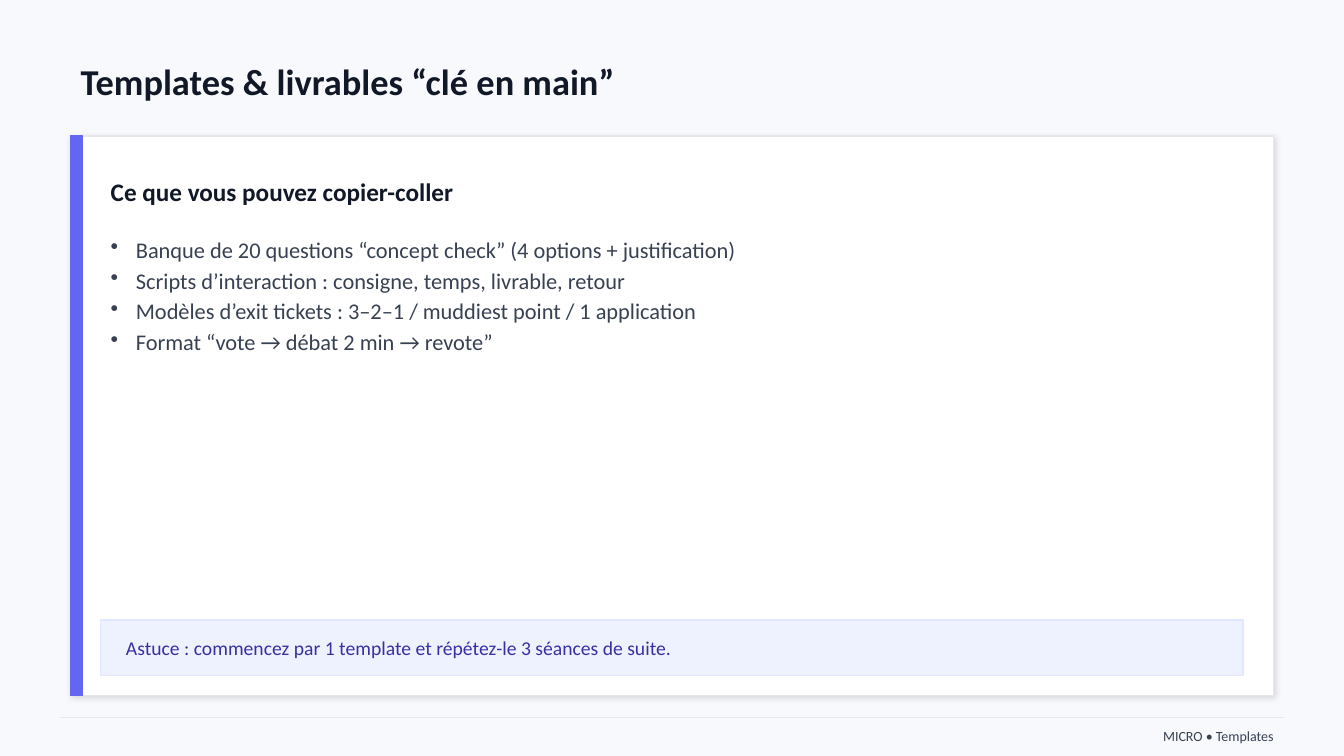
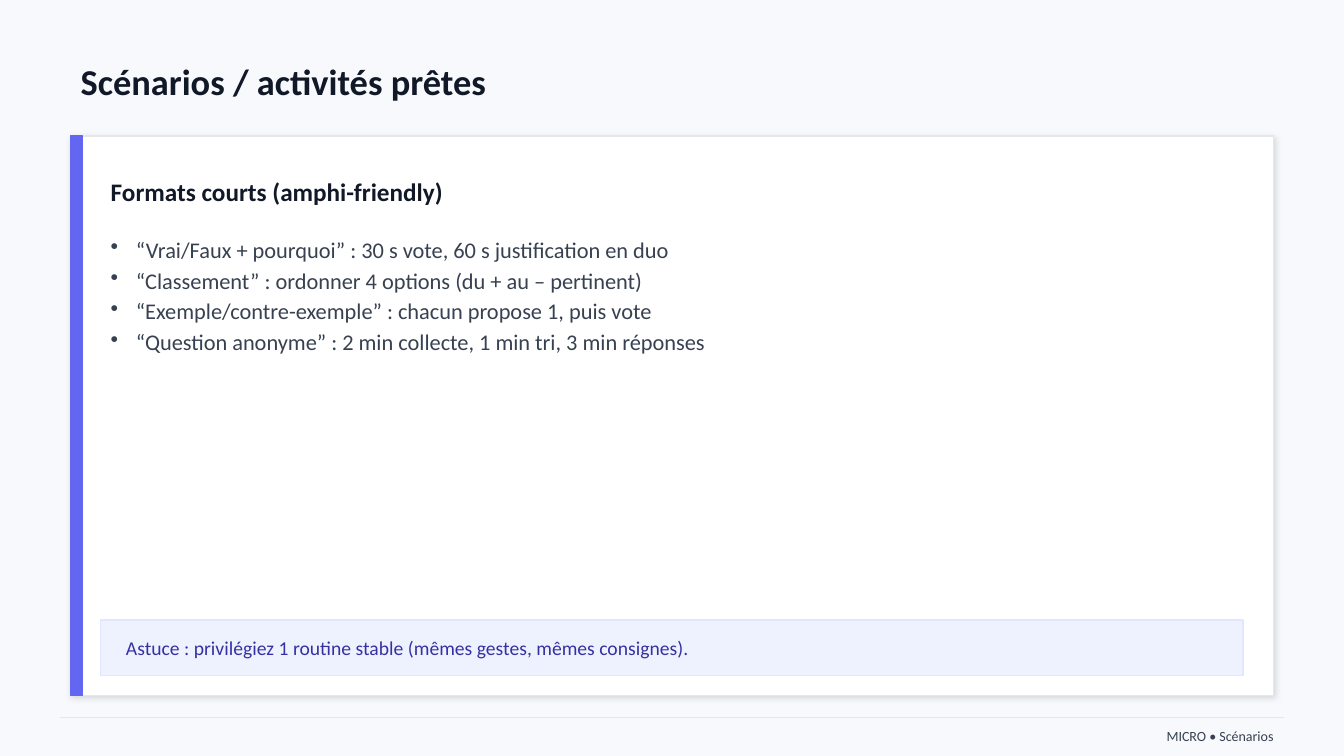
from pptx import Presentation, util as u
from pptx.dml.color import RGBColor
from pptx.enum import shapes, text
from pptx.oxml import parse_xml
from pptx.oxml.ns import nsdecls, qn

FONT = "Calibri"
PAPER = RGBColor(0xF7, 0xF9, 0xFC)
WHITE = RGBColor(0xFF, 0xFF, 0xFF)
INK = RGBColor(0x11, 0x18, 0x27)
BODY = RGBColor(0x37, 0x41, 0x51)
RULE = RGBColor(0xE5, 0xE7, 0xEB)
ACCENT = RGBColor(0x63, 0x66, 0xF1)
TINT = RGBColor(0xEE, 0xF2, 0xFF)
EDGE = RGBColor(0xE0, 0xE7, 0xFF)
INDIGO = RGBColor(0x37, 0x30, 0xA3)

WIDE, HIGH = 13.33, 7.5
CARD_X, CARD_Y, CARD_H = 0.7, 1.35, 5.55
TEXT_X = 1.0
FOOT_X = 0.6
RULE_Y = 7.12

SLIDES = [
    ("Templates & livrables “clé en main”",
     "Ce que vous pouvez copier-coller",
     ["Banque de 20 questions “concept check” (4 options + justification)",
      "Scripts d’interaction : consigne, temps, livrable, retour",
      "Modèles d’exit tickets : 3–2–1 / muddiest point / 1 application",
      "Format “vote → débat 2 min → revote”"],
     "Astuce : commencez par 1 template et répétez-le 3 séances de suite.",
     "MICRO • Templates"),
    ("Scénarios / activités prêtes",
     "Formats courts (amphi-friendly)",
     ["“Vrai/Faux + pourquoi” : 30 s vote, 60 s justification en duo",
      "“Classement” : ordonner 4 options (du + au – pertinent)",
      "“Exemple/contre-exemple” : chacun propose 1, puis vote",
      "“Question anonyme” : 2 min collecte, 1 min tri, 3 min réponses"],
     "Astuce : privilégiez 1 routine stable (mêmes gestes, mêmes consignes).",
     "MICRO • Scénarios"),
]


def span(x, y, h):
    return [u.Inches(n) for n in (x, y, WIDE - 2 * x, h)]


def write(shape, lines, size, color, bold=False, align=text.PP_ALIGN.LEFT,
          anchor=text.MSO_ANCHOR.MIDDLE):
    frame = shape.text_frame
    frame.text = "\n".join(lines)
    frame.word_wrap = True
    frame.auto_size = text.MSO_AUTO_SIZE.NONE
    frame.vertical_anchor = anchor
    for para in frame.paragraphs:
        para.alignment = align
        for run in para.runs:
            font = run.font
            font.name, font.size, font.bold = FONT, u.Pt(size), bold
            font.color.rgb = color


def label(slide, box, lines, size, color, **style):
    shape = slide.shapes.add_textbox(*box)
    write(shape, lines, size, color, **style)
    return shape


def panel(slide, box, fill, line):
    shape = slide.shapes.add_shape(shapes.MSO_SHAPE.RECTANGLE, *box)
    shape.fill.solid()
    shape.fill.fore_color.rgb = fill
    shape.line.color.rgb = line
    shape.line.width = u.Pt(1)
    shape.shadow.inherit = False
    return shape


def shade(shape):
    effects = shape._element.spPr.find(qn("a:effectLst"))
    effects.append(parse_xml(
        f'<a:outerShdw {nsdecls("a")} blurRad="{u.Pt(4)}" '
        f'dist="{u.Pt(1.5)}" dir="{45 * 60000}" algn="bl" rotWithShape="0">'
        '<a:srgbClr val="000000"><a:alpha val="12000"/></a:srgbClr>'
        '</a:outerShdw>'))


def list_items(slide, items):
    box = label(slide, span(TEXT_X, 2.25, 4.05), items, 16, BODY,
                anchor=text.MSO_ANCHOR.TOP)
    for para in box.text_frame.paragraphs:
        para.line_spacing = 1.15
        props = para._p.get_or_add_pPr()
        props.set("marL", str(u.Inches(0.25)))
        props.set("indent", str(-u.Inches(0.25)))
        props.append(parse_xml(f'<a:buChar {nsdecls("a")} char="•"/>'))


def head(slide, title):
    shape = slide.shapes.title
    shape.left, shape.top, shape.width, shape.height = span(CARD_X, 0.55, 0.5)
    write(shape, [title], 26, INK, bold=True)


def card(slide, heading, items, tip):
    box = span(CARD_X, CARD_Y, CARD_H)
    shade(panel(slide, box, WHITE, RULE))
    left, top, _, height = box
    panel(slide, (left, top, u.Inches(0.12), height), ACCENT, ACCENT)
    label(slide, span(TEXT_X, 1.7, 0.4), [heading], 18, INK, bold=True)
    list_items(slide, items)
    band = panel(slide, span(TEXT_X, 6.15, 0.55), TINT, EDGE)
    write(band, [tip], 14, INDIGO)
    band.text_frame.margin_left = u.Inches(0.25)


def foot(slide, note):
    y = u.Inches(RULE_Y)
    rule = slide.shapes.add_connector(
        shapes.MSO_CONNECTOR.STRAIGHT,
        u.Inches(FOOT_X), y, u.Inches(WIDE - FOOT_X), y)
    rule.line.color.rgb = RULE
    rule.line.width = u.Pt(1)
    rule._element.spPr.append(parse_xml(f'<a:effectLst {nsdecls("a")}/>'))
    label(slide, span(FOOT_X, 7.18, 0.25), [note], 10, BODY,
          align=text.PP_ALIGN.RIGHT)


def main():
    deck = Presentation()
    deck.slide_width, deck.slide_height = u.Inches(WIDE), u.Inches(HIGH)
    paper = deck.slide_master.background.fill
    paper.solid()
    paper.fore_color.rgb = PAPER
    for title, heading, items, tip, note in SLIDES:
        slide = deck.slides.add_slide(deck.slide_layouts[5])
        head(slide, title)
        card(slide, heading, items, tip)
        foot(slide, note)
    deck.save("out.pptx")


if __name__ == "__main__":
    main()
